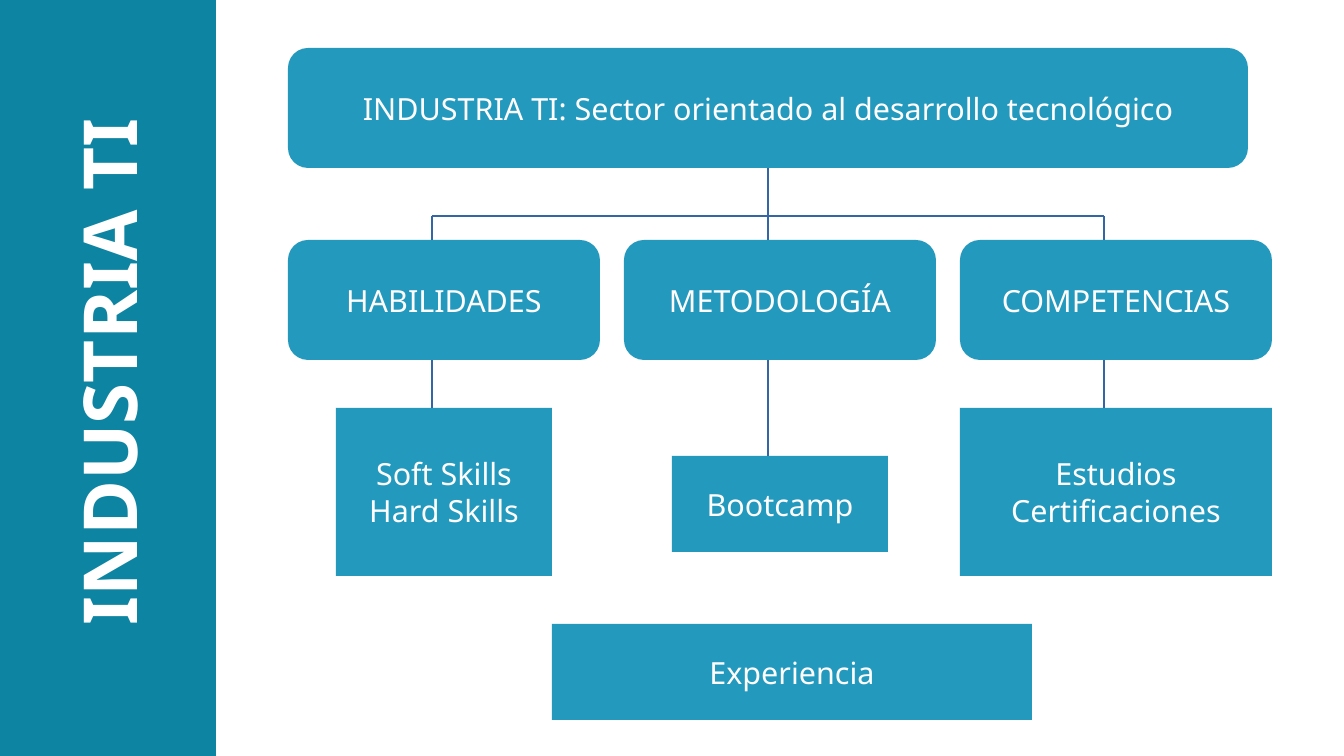
import pptx
import pptx.dml.color
import pptx.enum.shapes
import pptx.enum.text
import pptx.oxml.ns
import pptx.util
import lxml.etree

Cm = pptx.util.Cm
Pt = pptx.util.Pt
RGBColor = pptx.dml.color.RGBColor
SHAPE = pptx.enum.shapes.MSO_SHAPE

TEAL = RGBColor(0x0D, 0x84, 0xA1)
BLUE = RGBColor(0x24, 0x99, 0xBE)
LINE = RGBColor(0x34, 0x65, 0xA4)
WHITE = RGBColor(0xFF, 0xFF, 0xFF)


class Deck:
    font = "Noto Sans"
    body_size = Pt(18)
    title_size = Pt(44)
    line_width = Pt(1.5)

    def __init__(self, width, height):
        self.prs = pptx.Presentation()
        self.prs.slide_width = Cm(width)
        self.prs.slide_height = Cm(height)
        self.s = None

    def add_slide(self):
        self.s = self.prs.slides.add_slide(self.prs.slide_layouts[5])

    def add_text(self, tf, lines, size, bold=False):
        tf.vertical_anchor = pptx.enum.text.MSO_ANCHOR.MIDDLE
        for i, line in enumerate(lines):
            p = tf.paragraphs[0] if i == 0 else tf.add_paragraph()
            p.alignment = pptx.enum.text.PP_ALIGN.CENTER
            r = p.add_run()
            r.text = line
            r.font.name = self.font
            r.font.size = size
            r.font.bold = bold
            r.font.color.rgb = WHITE

    def shape(self, kind, x, y, w, h, color):
        sp = self.s.shapes.add_shape(kind, Cm(x), Cm(y), Cm(w), Cm(h))
        sp.shadow.inherit = False
        sp.fill.solid()
        sp.fill.fore_color.rgb = color
        sp.line.fill.background()
        return sp

    def side_title(self, text, width, length):
        height = self.prs.slide_height.cm
        self.shape(SHAPE.RECTANGLE, 0, 0, width, height, TEAL)
        sp = self.s.shapes.title
        sp.element.getparent().append(sp.element)
        thickness = 3.5
        sp.left, sp.top = Cm(width / 2 - length / 2), Cm(6)
        sp.width, sp.height = Cm(length), Cm(thickness)
        sp.rotation = 270
        tf = sp.text_frame
        tf.auto_size = pptx.enum.text.MSO_AUTO_SIZE.NONE
        tf.margin_left = tf.margin_right = tf.margin_top = tf.margin_bottom = 0
        self.add_text(tf, [text], self.title_size, bold=True)

    def heading(self, text, x, y, w, h):
        sp = self.shape(SHAPE.ROUNDED_RECTANGLE, x, y, w, h, BLUE)
        sp.adjustments[0] = 0.167
        sp.text_frame.word_wrap = False
        self.add_text(sp.text_frame, [text], self.body_size)

    def box(self, lines, x, y, w, h):
        sp = self.shape(SHAPE.RECTANGLE, x, y, w, h, BLUE)
        sp.text_frame.word_wrap = True
        self.add_text(sp.text_frame, lines, self.body_size)

    def line(self, x1, y1, x2, y2):
        cx = self.s.shapes.add_connector(
            pptx.enum.shapes.MSO_CONNECTOR.STRAIGHT, Cm(x1), Cm(y1), Cm(x2), Cm(y2))
        cx.line.color.rgb = LINE
        cx.line.width = self.line_width
        lxml.etree.SubElement(cx.element.spPr, pptx.oxml.ns.qn("a:effectLst"))


def main():
    deck = Deck(28, 15.75)
    deck.add_slide()
    deck.side_title("INDUSTRIA TI", 4.5, 14)

    left, pitch, head_w, head_h = 6, 7, 6.5, 2.5
    root_y, bus_y, head_y = 1, 4.5, 5
    deck.heading("INDUSTRIA TI: Sector orientado al desarrollo tecnológico",
                 left, root_y, 20, head_h)

    branches = [
        ("HABILIDADES", ["Soft Skills", "Hard Skills"], (7, 8.5, 4.5, 3.5)),
        ("METODOLOGÍA", ["Bootcamp"], (14, 9.5, 4.5, 2)),
        ("COMPETENCIAS", ["Estudios", "Certificaciones"], (20, 8.5, 6.5, 3.5)),
    ]
    stems = [left + 3 + i * pitch for i in range(len(branches))]
    for i, (name, lines, place) in enumerate(branches):
        deck.heading(name, left + i * pitch, head_y, head_w, head_h)
        deck.box(lines, *place)
        deck.line(stems[i], head_y, stems[i], bus_y)
        deck.line(stems[i], place[1], stems[i], head_y + head_h)
    deck.line(stems[0], bus_y, stems[-1], bus_y)
    deck.line(stems[1], bus_y, stems[1], root_y + head_h)
    deck.box(["Experiencia"], 11.5, 13, 10, 2)

    deck.prs.save("out.pptx")


if __name__ == "__main__":
    main()
